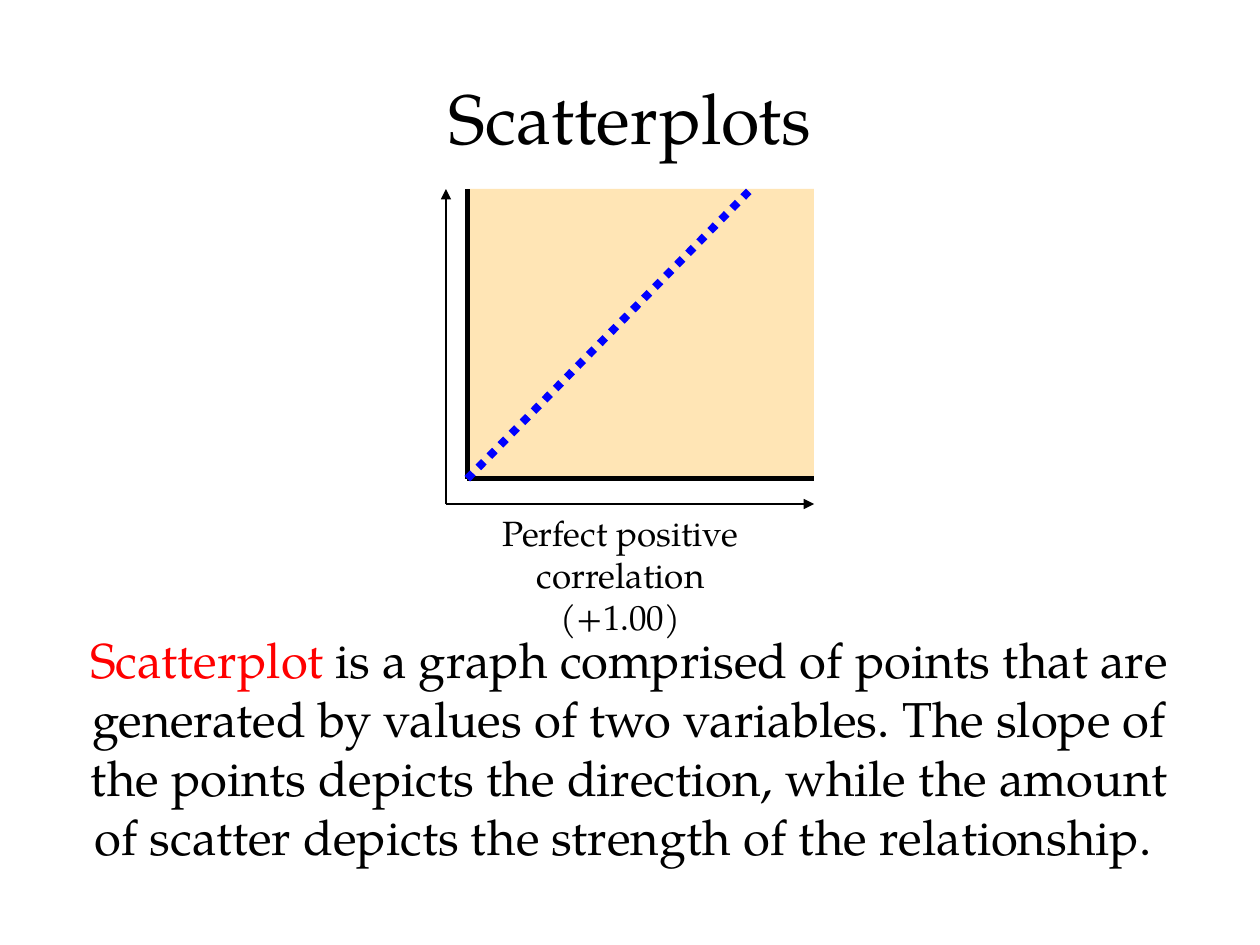
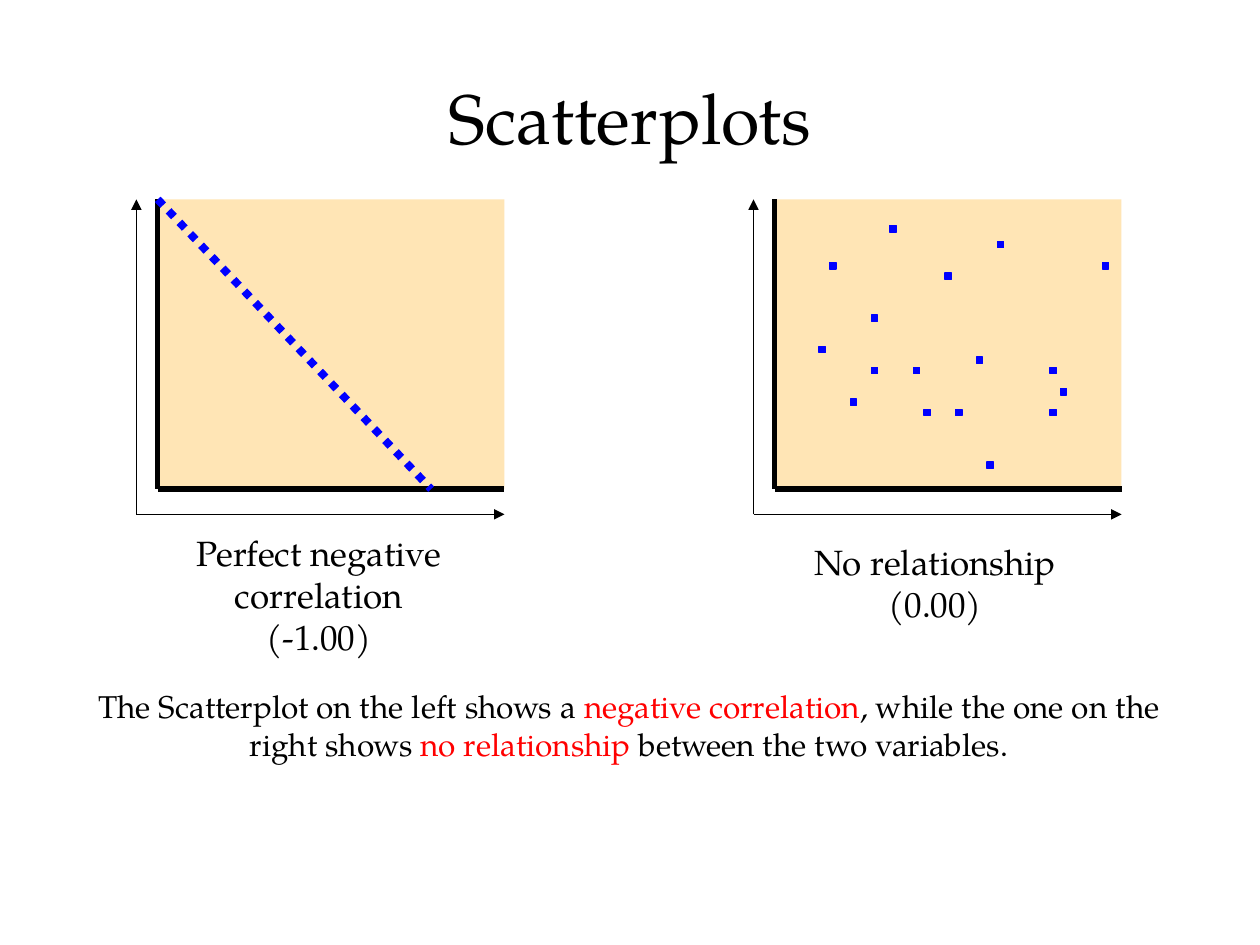
from dataclasses import dataclass

import pptx
import pptx.dml.color
import pptx.enum.dml
import pptx.enum.shapes
import pptx.enum.text
import pptx.oxml.ns
import pptx.util
from lxml import etree
from pptx.util import Cm


# Theme
@dataclass(frozen=True)
class Theme:
    font: str = "TeX Gyre Pagella"
    ink: str = "000000"
    accent: str = "FF0000"
    data: str = "0000FF"
    panel: str = "FFE5B5"
    title_size: float = 40
    caption_size: float = 20
    hair: float = 0.75
    axis: float = 3
    trend: float = 4.5


THEME = Theme()


# Repeated elements, lengths in centimetres
@dataclass(frozen=True)
class Box:
    left: float
    top: float
    width: float
    height: float


@dataclass(frozen=True)
class Run:
    text: str
    color: str = THEME.ink


@dataclass(frozen=True)
class Caption:
    box: Box
    lines: tuple[str, ...]


@dataclass(frozen=True)
class Plot:
    left: float
    top: float
    caption: Caption
    # Trend line: start and end measured from the plot's top left corner
    trend: tuple[float, float, float, float] | None = None
    # Dots: cells counted from the slide's top left corner
    dots: tuple[tuple[float, float], ...] = ()


@dataclass(frozen=True)
class Page:
    plots: tuple[Plot, ...]
    body_top: float
    body_height: float
    body_size: float
    body: tuple[Run, ...]


PLOT_W, PLOT_H = 6.99, 5.84
ARROW_DX, ARROW_DY = 0.43, 0.51
CELL = 2.54 / 12
DOT = 0.13
TITLE = "Scatterplots"
TITLE_BOX = Box(1.27, 0.76, 22.86, 3.18)

PAGES = (
    Page(
        plots=(
            Plot(9.42, 3.81,
                 Caption(Box(9.45, 10.19, 6.12, 1.96),
                         ("Perfect positive", "correlation\v(+1.00)")),
                 trend=(0, PLOT_H, 5.72, 0)),
        ),
        body_top=12.57, body_height=5, body_size=28,
        body=(
            Run("Scatterplot ", THEME.accent),
            Run("is a graph comprised of points that are generated by values "
                "of two variables. The slope of the points depicts the "
                "direction, while the amount of scatter depicts the strength "
                "of the relationship. "),
        ),
    ),
    Page(
        plots=(
            Plot(3.18, 4.02,
                 Caption(Box(3.43, 10.59, 6, 1.96),
                         ("Perfect negative", "correlation\v(-1.00)")),
                 trend=(0, 0, 5.51, PLOT_H)),
            Plot(15.62, 4.02,
                 Caption(Box(15.21, 10.77, 7.29, 1.09),
                         ("No relationship\v(0.00)",)),
                 dots=((84.75, 21.5), (79, 25), (90, 26), (95, 23), (105, 25),
                       (83, 30), (78, 33), (87, 35), (83, 35), (100, 35),
                       (93, 34), (101, 37), (81, 38), (88, 39), (91, 39),
                       (100, 39), (94, 44))),
        ),
        body_top=13.72, body_height=3.33, body_size=18,
        body=(
            Run("The Scatterplot on the left shows a "),
            Run("negative correlation", THEME.accent),
            Run(", while the one on the right shows "),
            Run("no relationship ", THEME.accent),
            Run("between the two variables."),
        ),
    ),
)


def rgb(color: str) -> pptx.dml.color.RGBColor:
    return pptx.dml.color.RGBColor.from_string(color)


# Text
def add_frame(s, box: Box, wrap: bool = True):
    sp = s.shapes.add_textbox(Cm(box.left), Cm(box.top),
                              Cm(box.width), Cm(box.height))
    tf = sp.text_frame
    tf.word_wrap = wrap
    return tf


def style(p, size: float) -> None:
    p.alignment = pptx.enum.text.PP_ALIGN.CENTER
    p.font.name = THEME.font
    p.font.size = pptx.util.Pt(size)
    p.font.color.rgb = rgb(THEME.ink)


def add_title(s) -> None:
    tf = add_frame(s, TITLE_BOX)
    tf.vertical_anchor = pptx.enum.text.MSO_ANCHOR.MIDDLE
    tf.text = TITLE
    style(tf.paragraphs[0], THEME.title_size)


def add_caption(s, caption: Caption) -> None:
    tf = add_frame(s, caption.box, wrap=False)
    tf.auto_size = pptx.enum.text.MSO_AUTO_SIZE.SHAPE_TO_FIT_TEXT
    tf.text = "\n".join(caption.lines)
    for p in tf.paragraphs:
        style(p, THEME.caption_size)


def add_body(s, page: Page) -> None:
    tf = add_frame(s, Box(1.4, page.body_top, 22.56, page.body_height))
    p = tf.paragraphs[0]
    style(p, page.body_size)
    for run in page.body:
        r = p.add_run()
        r.text = run.text
        r.font.color.rgb = rgb(run.color)


# Plot parts
def add_rect(shapes, box: Box, color: str, outlined: bool = False) -> None:
    sp = shapes.add_shape(pptx.enum.shapes.MSO_SHAPE.RECTANGLE, Cm(box.left),
                          Cm(box.top), Cm(box.width), Cm(box.height))
    sp.shadow.inherit = False
    sp.fill.solid()
    sp.fill.fore_color.rgb = rgb(color)
    if outlined:
        sp.line.color.rgb = rgb(color)
        sp.line.width = pptx.util.Pt(THEME.hair)
    else:
        sp.line.fill.background()


def add_line(shapes, x1: float, y1: float, x2: float, y2: float, width: float,
             color: str = THEME.ink, arrow: bool = False,
             dotted: bool = False) -> None:
    line = shapes.add_connector(pptx.enum.shapes.MSO_CONNECTOR.STRAIGHT,
                                Cm(x1), Cm(y1), Cm(x2), Cm(y2))
    line.line.color.rgb = rgb(color)
    line.line.width = pptx.util.Pt(width)
    if dotted:
        line.line.dash_style = pptx.enum.dml.MSO_LINE.ROUND_DOT
    qn = pptx.oxml.ns.qn
    sp_pr = line._element.spPr
    if arrow:
        etree.SubElement(sp_pr.find(qn("a:ln")), qn("a:tailEnd"),
                         type="triangle")
    etree.SubElement(sp_pr, qn("a:effectLst"))


def add_plot(s, plot: Plot) -> None:
    shapes = s.shapes.add_group_shape().shapes
    left, top = plot.left, plot.top
    right, bottom = left + PLOT_W, top + PLOT_H
    add_rect(shapes, Box(left, top, PLOT_W, PLOT_H), THEME.panel)

    # Thick axes, then thin arrows outside them
    add_line(shapes, left, top, left, bottom, THEME.axis)
    add_line(shapes, left, bottom, right, bottom, THEME.axis)
    x, y = left - ARROW_DX, bottom + ARROW_DY
    add_line(shapes, x, y, x, top, THEME.hair, arrow=True)
    add_line(shapes, x, y, right, y, THEME.hair, arrow=True)

    # Data
    if plot.trend:
        x1, y1, x2, y2 = plot.trend
        add_line(shapes, left + x1, top + y1, left + x2, top + y2,
                 THEME.trend, THEME.data, dotted=True)
    for col, row in plot.dots:
        add_rect(shapes, Box(col * CELL, row * CELL, DOT, DOT), THEME.data,
                 outlined=True)
    add_caption(s, plot.caption)


def main() -> None:
    prs = pptx.Presentation()
    prs.slide_width, prs.slide_height = Cm(25.4), Cm(19.05)
    for page in PAGES:
        s = prs.slides.add_slide(prs.slide_layouts[6])
        add_title(s)
        for plot in page.plots:
            add_plot(s, plot)
        add_body(s, page)
    prs.save("out.pptx")


if __name__ == "__main__":
    main()
